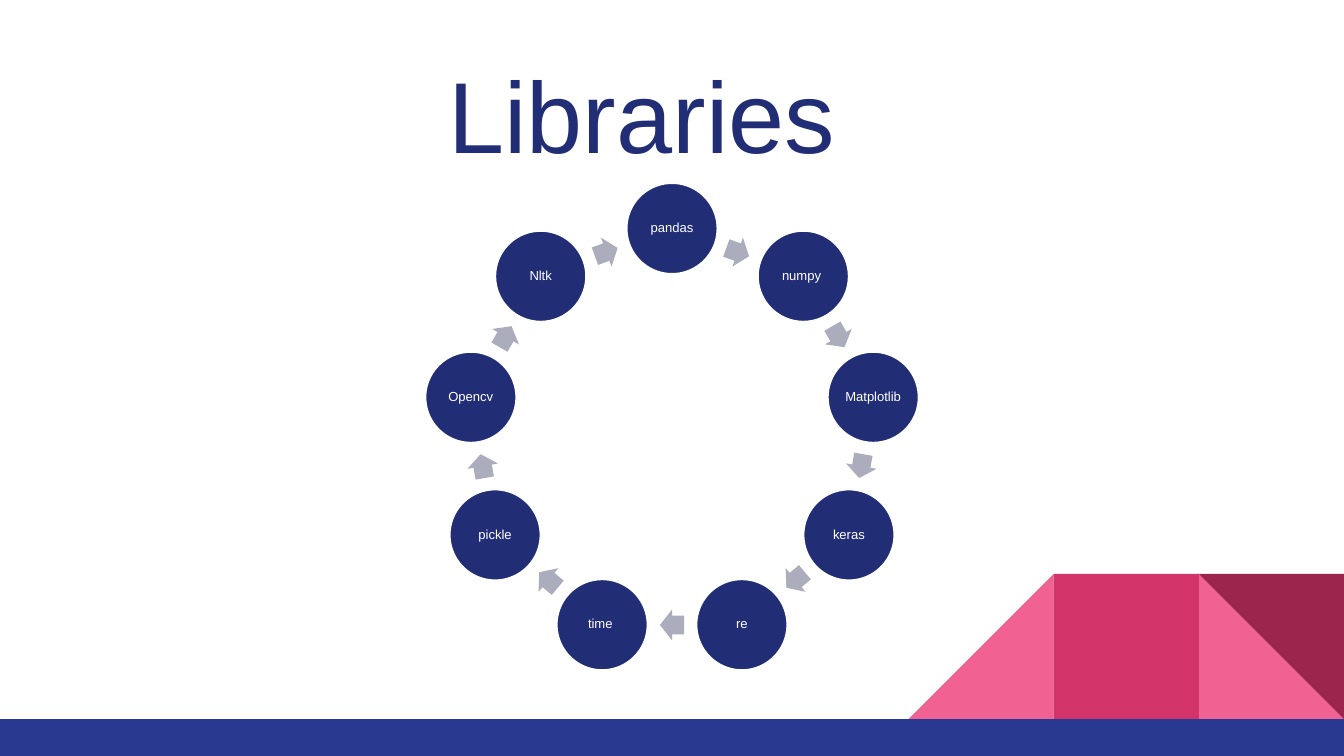
from dataclasses import dataclass
from math import cos, radians, sin

from pptx import Presentation
from pptx.dml.color import RGBColor
from pptx.enum.shapes import MSO_SHAPE
from pptx.enum.text import MSO_ANCHOR, MSO_AUTO_SIZE, PP_ALIGN
from pptx.util import Inches, Pt

OVAL = MSO_SHAPE.OVAL
ARROW = MSO_SHAPE.RIGHT_ARROW
RECT = MSO_SHAPE.RECTANGLE
TRIANGLE = MSO_SHAPE.RIGHT_TRIANGLE
MIDDLE = MSO_ANCHOR.MIDDLE
CENTER = PP_ALIGN.CENTER
GROW = MSO_AUTO_SIZE.SHAPE_TO_FIT_TEXT


@dataclass(frozen=True)
class Theme:
    font: str = "Arial"
    title_size: float = 54
    label_size: float = 7
    navy: str = "212D74"
    band: str = "2A3990"
    gray: str = "ACADBC"
    white: str = "FFFFFF"
    light_pink: str = "F06292"
    pink: str = "D23369"
    wine: str = "9C254D"


THEME = Theme()

# The trailing spaces shift two of the centred labels slightly left
LIBRARIES = ["pandas", "numpy ", "Matplotlib", "keras", "re",
             "time ", "pickle", "Opencv", "Nltk"]
CENTER_X, CENTER_Y = 5, 3.22
NODE_RADIUS, ARROW_RADIUS = 1.52, 1.43
NODE_SIZE = 0.69
ARROW_W, ARROW_H = 0.18, 0.23


def set_attrs(obj, values):
    for name, value in values.items():
        setattr(obj, name, value)


def add_shape(s, kind, x, y, w, h, fill, rotation=0):
    sp = s.shapes.add_shape(kind, Inches(x), Inches(y), Inches(w), Inches(h))
    sp.shadow.inherit = False
    sp.rotation = rotation
    sp.fill.solid()
    sp.fill.fore_color.rgb = RGBColor.from_string(fill)
    sp.line.fill.background()
    return sp


def write_text(sp, text, size, color, frame_format):
    tf = sp.text_frame
    set_attrs(tf, frame_format)
    p = tf.paragraphs[0]
    p.alignment = CENTER
    r = p.add_run()
    r.text = text
    set_attrs(r.font, {"name": THEME.font, "size": Pt(size)})
    r.font.color.rgb = RGBColor.from_string(color)
    return p


def on_ring(radius, angle, w, h):
    """Top left corner of a box centred on the ring, clockwise from the top."""
    a = radians(angle)
    return (CENTER_X + radius * sin(a) - w / 2,
            CENTER_Y - radius * cos(a) - h / 2)


def add_node(s, text, angle):
    x, y = on_ring(NODE_RADIUS, angle, NODE_SIZE, NODE_SIZE)
    sp = add_shape(s, OVAL, x, y, NODE_SIZE, NODE_SIZE, THEME.navy)
    sp.line.color.rgb = RGBColor.from_string(THEME.white)
    sp.line.width = Pt(2)
    inset = Inches(0.01)
    p = write_text(sp, text, THEME.label_size, THEME.white, {
        "word_wrap": True, "vertical_anchor": MIDDLE,
        "margin_left": inset, "margin_right": inset,
        "margin_top": inset, "margin_bottom": inset})
    p.line_spacing = 0.9


def add_arrow(s, angle):
    x, y = on_ring(ARROW_RADIUS, angle, ARROW_W, ARROW_H)
    sp = add_shape(s, ARROW, x, y, ARROW_W, ARROW_H, THEME.gray, angle)
    sp.adjustments[0] = 0.6
    sp.adjustments[1] = 0.5


def add_cycle(s):
    step = 360 / len(LIBRARIES)
    for i, library in enumerate(LIBRARIES):
        add_node(s, library, i * step)
        add_arrow(s, (i + 0.5) * step)


def add_decoration(s):
    side, top = 1.08, 4.27
    tiles = [(TRIANGLE, 8.92, THEME.light_pink, 0),
             (TRIANGLE, 6.76, THEME.light_pink, 270),
             (RECT, 7.84, THEME.pink, 0),
             (TRIANGLE, 8.92, THEME.wine, 180)]
    for kind, x, fill, rotation in tiles:
        add_shape(s, kind, x, top, side, side, fill, rotation)
    add_shape(s, RECT, 0, top + side, 10, 0.28, THEME.band)


def add_title(s, text):
    sp = s.shapes.add_textbox(Inches(3.22), Inches(0.34),
                              Inches(3.11), Inches(1.01))
    write_text(sp, text, THEME.title_size, THEME.navy,
               {"word_wrap": False, "auto_size": GROW})


def main():
    prs = Presentation()
    # 16:9 page
    prs.slide_width = Inches(10)
    prs.slide_height = prs.slide_width * 9 // 16
    s = prs.slides.add_slide(prs.slide_layouts[6])
    # Corner tiles and bottom band
    add_decoration(s)
    # Ring of libraries joined by arrows
    add_cycle(s)
    # Heading
    add_title(s, "Libraries")
    prs.save("out.pptx")


if __name__ == "__main__":
    main()
